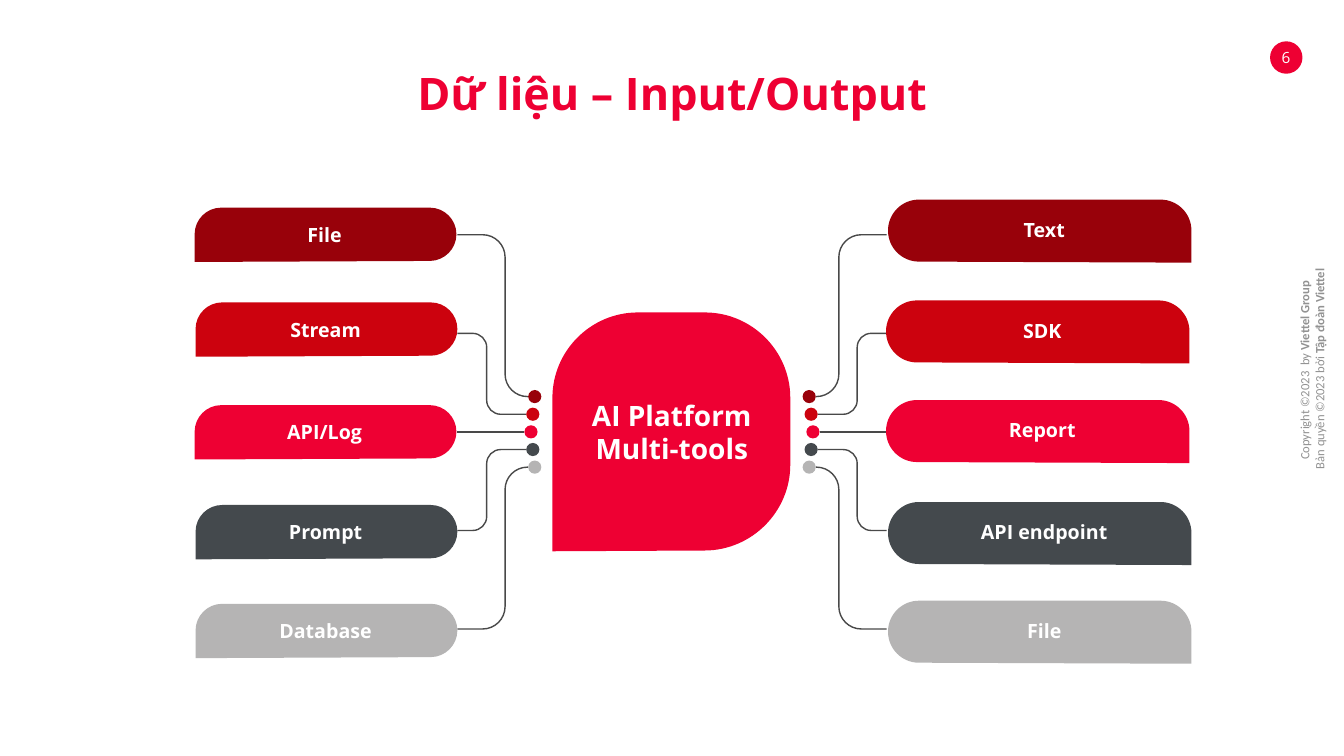
"""Build the data input/output slide with an AI platform hub."""
from math import hypot

from lxml import etree
from pptx import Presentation
from pptx.dml.color import RGBColor
from pptx.enum.shapes import MSO_CONNECTOR, MSO_SHAPE
from pptx.enum.text import PP_ALIGN
from pptx.oxml.ns import qn
from pptx.util import Pt

OVAL = MSO_SHAPE.OVAL
STRAIGHT = MSO_CONNECTOR.STRAIGHT
CENTER = PP_ALIGN.CENTER

WHITE = RGBColor(0xFF, 0xFF, 0xFF)
DARK_RED = RGBColor(0x98, 0x01, 0x0A)
DEEP_RED = RGBColor(0xCC, 0x02, 0x0E)
RED = RGBColor(0xEE, 0x00, 0x33)
SLATE = RGBColor(0x44, 0x49, 0x4D)
SILVER = RGBColor(0xB5, 0xB4, 0xB4)
LINE_GRAY = RGBColor(0x49, 0x49, 0x49)
NOTE_GRAY = RGBColor(0x92, 0x92, 0x92)

ROW_COLORS = [DARK_RED, DEEP_RED, RED, SLATE, SILVER]
INPUTS = [
    ("File", 139, 148.3), ("Stream", 139.7, 216), ("API/Log", 139, 289.4),
    ("Prompt", 139.7, 360.7), ("Database", 139.7, 431.3),
]
OUTPUTS = [
    ("Text", 851, 142.6), ("SDK", 849.6, 214.6), ("Report", 849.6, 285.8),
    ("API endpoint", 851, 358.6), ("File", 851, 429.1),
]
AXIS_X, AXIS_Y = 480, 308.5
DOT_SIZE = 9.4
DOT_REACH = [98, 99.4, 100.7, 99.4, 98]
DOT_STEP, LINK_STEP = 12.6, 70.4
LINK_END = 153.3
CURVE = 0.45

deck = Presentation()
deck.slide_width, deck.slide_height = Pt(960), Pt(540)
page = deck.slides.add_slide(deck.slide_layouts[6])


def add_rounded_path(corners, close):
    """Draw a path through (x, y, radius) corners, each rounded by one curve."""
    points, curve_starts = [], []
    for index, (x, y, radius) in enumerate(corners):
        if radius == 0:
            points.append((Pt(x), Pt(y)))
            continue
        neighbours = corners[index - 1], corners[(index + 1) % len(corners)]
        curve_starts.append(len(points))
        for (near_x, near_y, _), shares in zip(neighbours, [(1, CURVE), (CURVE, 1)]):
            length = hypot(near_x - x, near_y - y)
            for share in shares:
                reach = radius * share / length
                points.append((Pt(x + (near_x - x) * reach), Pt(y + (near_y - y) * reach)))
    builder = page.shapes.build_freeform(*points[0])
    builder.add_line_segments(points[1:], close=close)
    shape = builder.convert_to_shape()
    shape.shadow.inherit = False
    outline = next(shape._element.iter(qn("a:path")))
    steps = list(outline)
    for start in curve_starts:
        curve = etree.Element(qn("a:cubicBezTo"))
        steps[start].addnext(curve)
        for step in steps[start + 1:start + 4]:
            curve.append(step[0])
            outline.remove(step)
    return shape


def add_label(text, left, top, width, height, size, color, bold=True):
    """Add centred text in a box without margins."""
    frame = page.shapes.add_textbox(Pt(left), Pt(top), Pt(width), Pt(height)).text_frame
    frame.word_wrap = True
    frame.margin_left = frame.margin_right = frame.margin_top = frame.margin_bottom = 0
    para = frame.paragraphs[0]
    para.text = text
    para.alignment = CENTER
    para.font.name, para.font.size, para.font.bold = "Open Sans", Pt(size), bold
    para.font.color.rgb = color


rights = page.shapes.add_textbox(Pt(771.1), Pt(249.1), Pt(331.9), Pt(28.8))
rights.rotation = 270
frame = rights.text_frame
frame.word_wrap = True
rights_lines = [("Copyright ©2023  by ", "Viettel Group "), ("Bản quyền ©2023 bởi ", "Tập đoàn Viettel")]
for index, (lead, holder) in enumerate(rights_lines):
    para = frame.paragraphs[0] if index == 0 else frame.add_paragraph()
    para.alignment = CENTER
    para.font.name, para.font.size = "Calibri", Pt(9)
    para.font.color.rgb = NOTE_GRAY
    para.add_run().text = lead
    span = para.add_run()
    span.text = holder
    span.font.bold = True

ovals = [(907.2, 29.5, 23.2, RED)]
for side in (1, -1):
    for row, color in enumerate(ROW_COLORS):
        dot_x = AXIS_X + side * DOT_REACH[row]
        dot_y = AXIS_Y + (row - 2) * DOT_STEP
        ovals.append((dot_x - DOT_SIZE / 2, dot_y - DOT_SIZE / 2, DOT_SIZE, color))
        link_x = AXIS_X + side * LINK_END
        link_y = AXIS_Y + (row - 2) * LINK_STEP
        start_x = dot_x + side * DOT_SIZE / 2
        if row == 2:
            link = page.shapes.add_connector(
                STRAIGHT, Pt(start_x), Pt(dot_y), Pt(link_x), Pt(link_y))
            etree.SubElement(link._element.spPr, qn("a:effectLst"))
        else:
            reach, radius = (119.2, 16) if row in (0, 4) else (132.3, 10)
            bend_x = AXIS_X + side * reach
            link = add_rounded_path([(start_x, dot_y, 0), (bend_x, dot_y, radius),
                                     (bend_x, link_y, radius), (link_x, link_y, 0)], False)
            link.fill.background()
        link.line.color.rgb = LINE_GRAY
        link.line.width = Pt(1)

for left, top, size, color in ovals:
    oval = page.shapes.add_shape(OVAL, Pt(left), Pt(top), Pt(size), Pt(size))
    oval.shadow.inherit = False
    oval.fill.solid()
    oval.fill.fore_color.rgb = color
    oval.line.fill.background()

drops = [(394.6, 564.5, 223.2, 170.6, 61, RED)]
for color, (text, tail_x, top) in zip(ROW_COLORS, INPUTS):
    drops.append((tail_x, tail_x + 187, top, 38.8, 19, color))
for color, (text, tail_x, top) in zip(ROW_COLORS, OUTPUTS):
    drops.append((tail_x, tail_x - 216.7, top, 45, 22, color))
for tail_x, round_x, top, height, radius, color in drops:
    bottom = top + height
    drop = add_rounded_path([(tail_x, bottom, 0), (tail_x, top, radius), (round_x, top, radius),
                             (round_x, bottom - 0.8, radius)], True)
    drop.fill.solid()
    drop.fill.fore_color.rgb = color
    drop.line.fill.background()

add_label("6", 904.3, 34.6, 28.8, 13.7, 11, WHITE, False)
add_label("Dữ liệu – Input/Output", 52.6, 46.8, 855.4, 38.9, 32, RED)
add_label("AI Platform Multi-tools", 406.8, 284.4, 146.2, 48.2, 20, WHITE)
for text, tail_x, top in INPUTS:
    add_label(text, tail_x, top + 10.9, 185.8, 17.3, 14, WHITE)
for text, tail_x, top in OUTPUTS:
    add_label(text, tail_x - 198, top + 12.9, 185.8, 17.3, 14, WHITE)

deck.save("out.pptx")
